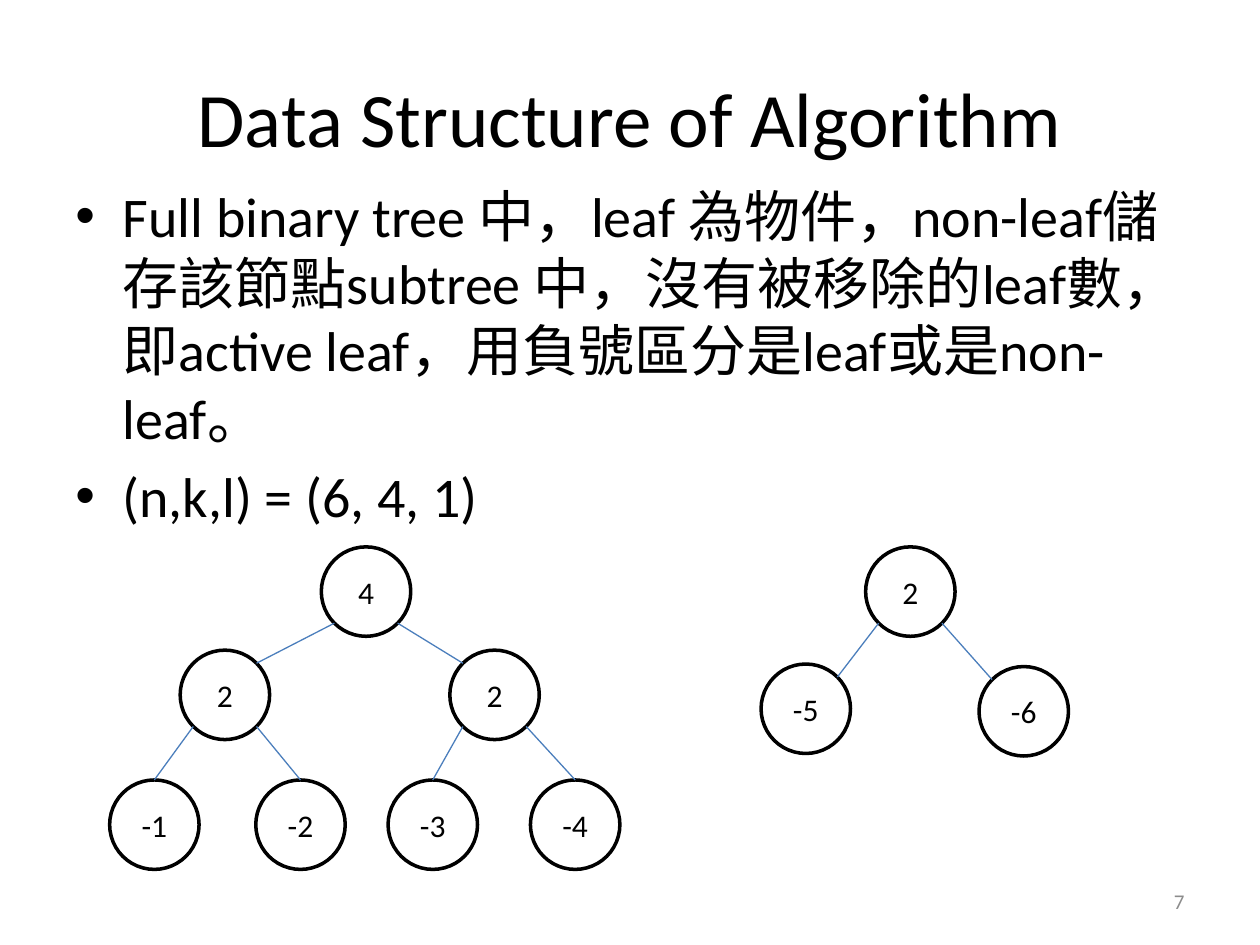
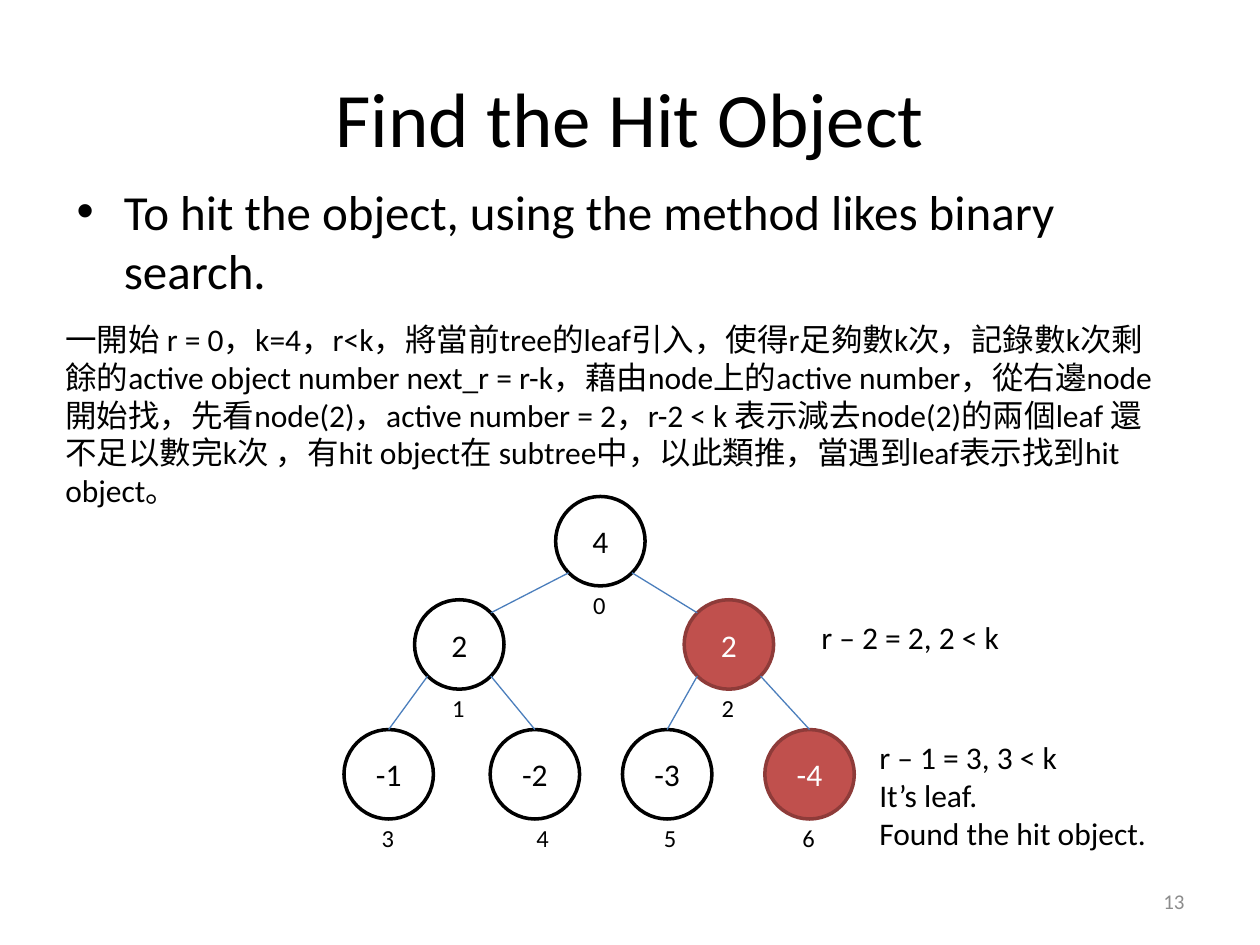
"""Build two slides on binary trees for finding the hit object."""
from dataclasses import dataclass
from math import sqrt

from lxml import etree
from pptx import Presentation
from pptx.dml.color import RGBColor
from pptx.enum.shapes import MSO_CONNECTOR, MSO_SHAPE
from pptx.enum.text import MSO_ANCHOR, PP_ALIGN
from pptx.oxml.ns import qn
from pptx.util import Inches, Pt

ELLIPSE = MSO_SHAPE.OVAL
STRAIGHT = MSO_CONNECTOR.STRAIGHT
TOP, MIDDLE = MSO_ANCHOR.TOP, MSO_ANCHOR.MIDDLE
LEFT, CENTER, RIGHT = PP_ALIGN.LEFT, PP_ALIGN.CENTER, PP_ALIGN.RIGHT
TOP_SITE = 0


@dataclass(frozen=True)
class Theme:
    font: str = "Calibri"
    ink: str = "000000"
    paper: str = "FFFFFF"
    hit: str = "C0504D"
    hit_line: str = "8E3B39"
    edge: str = "4B7EBC"
    muted: str = "8C8C8C"
    title: int = 44
    body: int = 32
    short_body: int = 28
    text: int = 18
    label: int = 14
    number: int = 12
    node_line: float = 2
    edge_line: float = 0.75


theme = Theme()
presentation = Presentation()
presentation.slide_width = Inches(10)
presentation.slide_height = Inches(7.5)
UNIT = presentation.slide_width // 100
NODE = 7.1
DIAGONAL = NODE / 2 / sqrt(2)
INDENT = Inches(0.375)


def add_text(text, *, slide=None, box=None, shape=None, size=theme.text, color=theme.ink,
             align=LEFT, anchor=TOP, wrap=True, bullet=False):
    """Write text into a shape, or into a new text box given in grid units."""
    if shape is None:
        shape = slide.shapes.add_textbox(*(round(UNIT * length) for length in box))
    frame = shape.text_frame
    frame.word_wrap = wrap
    frame.vertical_anchor = anchor
    for index, line in enumerate(text.split("\n")):
        paragraph = frame.add_paragraph() if index else frame.paragraphs[0]
        paragraph.alignment = align
        if bullet:
            properties = paragraph._p.get_or_add_pPr()
            properties.set("marL", str(INDENT))
            properties.set("indent", str(-INDENT))
            etree.SubElement(properties, qn("a:buFont")).set("typeface", "Arial")
            etree.SubElement(properties, qn("a:buChar")).set("char", "•")
            if index:
                paragraph.space_before = Pt(size * 0.2)
        run = paragraph.add_run()
        run.text = line
        run.font.name = theme.font
        run.font.size = Pt(size)
        run.font.color.rgb = RGBColor.from_string(color)


def add_tree(slide, root_column, root_row, nodes, hits=()):
    """Draw nodes (value, depth, column, row) in heap order and return their places."""
    places, shapes = [], []
    for index, (value, depth, column, row) in enumerate(nodes):
        is_hit = index in hits
        place = (root_column + column, root_row + row)
        shape = slide.shapes.add_shape(
            ELLIPSE, *(round(UNIT * length) for length in (*place, NODE, NODE)))
        shape.shadow.inherit = False
        shape.fill.solid()
        shape.fill.fore_color.rgb = RGBColor.from_string(theme.hit if is_hit else theme.paper)
        shape.line.color.rgb = RGBColor.from_string(theme.hit_line if is_hit else theme.ink)
        shape.line.width = Pt(theme.node_line)
        add_text(value, shape=shape, color=theme.paper if is_hit else theme.ink,
                 align=CENTER, anchor=MIDDLE)
        places.append(place)
        shapes.append(shape)
    for index in range(1, len(nodes)):
        parent_x, parent_y = (length + NODE / 2 for length in places[(index - 1) // 2])
        child_x, child_y = (length + NODE / 2 for length in places[index])
        side = DIAGONAL if child_x > parent_x else -DIAGONAL
        ends = (parent_x + side, parent_y + DIAGONAL, child_x - side, child_y - DIAGONAL)
        edge = slide.shapes.add_connector(STRAIGHT, *(round(UNIT * length) for length in ends))
        if nodes[index][1] == 2:
            edge.end_connect(shapes[index], TOP_SITE)
        edge.line.color.rgb = RGBColor.from_string(theme.edge)
        edge.line.width = Pt(theme.edge_line)
        etree.SubElement(edge._element.spPr, qn("a:effectLst"))
    return places


slides = []
for title, number in (("Data Structure of Algorithm", "7"), ("Find the Hit Object", "13")):
    slide = presentation.slides.add_slide(presentation.slide_layouts[6])
    add_text(title, slide=slide, box=(5, 3, 90, 12.5), size=theme.title,
             align=CENTER, anchor=MIDDLE)
    add_text(number, slide=slide, box=(71.7, 69.5, 23.3, 4), size=theme.number,
             color=theme.muted, align=RIGHT, anchor=MIDDLE)
    slides.append(slide)
structure_slide, search_slide = slides

four_leaf_tree = [
    ("4", 0, 0, 0),
    ("2", 1, -11.2, 8.2), ("2", 1, 10.2, 8.2),
    ("-1", 2, -16.8, 18.5), ("-2", 2, -5.2, 18.5),
    ("-3", 2, 5.3, 18.5), ("-4", 2, 16.6, 18.5),
]
two_leaf_tree = [("2", 0, 0, 0), ("-5", 1, -8.3, 9.3), ("-6", 1, 9, 9.5)]

add_text(
    "Full binary tree 中，leaf 為物件，non-leaf儲存該節點subtree 中，沒有被移除的leaf數，"
    "即active leaf，用負號區分是leaf或是non-leaf。\n(n,k,l) = (6, 4, 1)",
    slide=structure_slide, box=(5, 13.9, 90, 53.1), size=theme.body, bullet=True)
add_tree(structure_slide, 25.5, 43.4, four_leaf_tree)
add_tree(structure_slide, 68.7, 43.4, two_leaf_tree)

add_text("To hit the object, using the method likes binary search.", slide=search_slide,
         box=(5.1, 13.9, 90, 11.8), size=theme.short_body, bullet=True)
search_places = add_tree(search_slide, 44.1, 39.4, four_leaf_tree, hits=(2, 6))
add_text(
    "一開始 r = 0，k=4，r<k，將當前tree的leaf引入，使得r足夠數k次，"
    "記錄數k次剩餘的active object number next_r = r-k，藉由node上的active number，"
    "從右邊node開始找，先看node(2)，active number = 2，r-2 < k 表示減去node(2)的兩個leaf "
    "還不足以數完k次 ，有hit object在 subtree中，以此類推，當遇到leaf表示找到hit object。",
    slide=search_slide, box=(4.2, 24.9, 89.4, 16.2))
label_shifts = (2, 2, 2, 2, 2.7, 2.3, 2)
for index, ((column, row), shift) in enumerate(zip(search_places, label_shifts)):
    add_text(str(index), slide=search_slide, box=(column + shift, row + 6.9, 3, 3.4),
             size=theme.label, wrap=False)
for note, box in (
    ("r – 2 = 2, 2 < k", (64.2, 48.6, 16.3, 4)),
    ("r – 1 = 3, 3 < k\nIt’s leaf.\nFound the hit object.", (68.8, 58.1, 23.5, 10.1)),
):
    add_text(note, slide=search_slide, box=box, wrap=False)

presentation.save("out.pptx")
